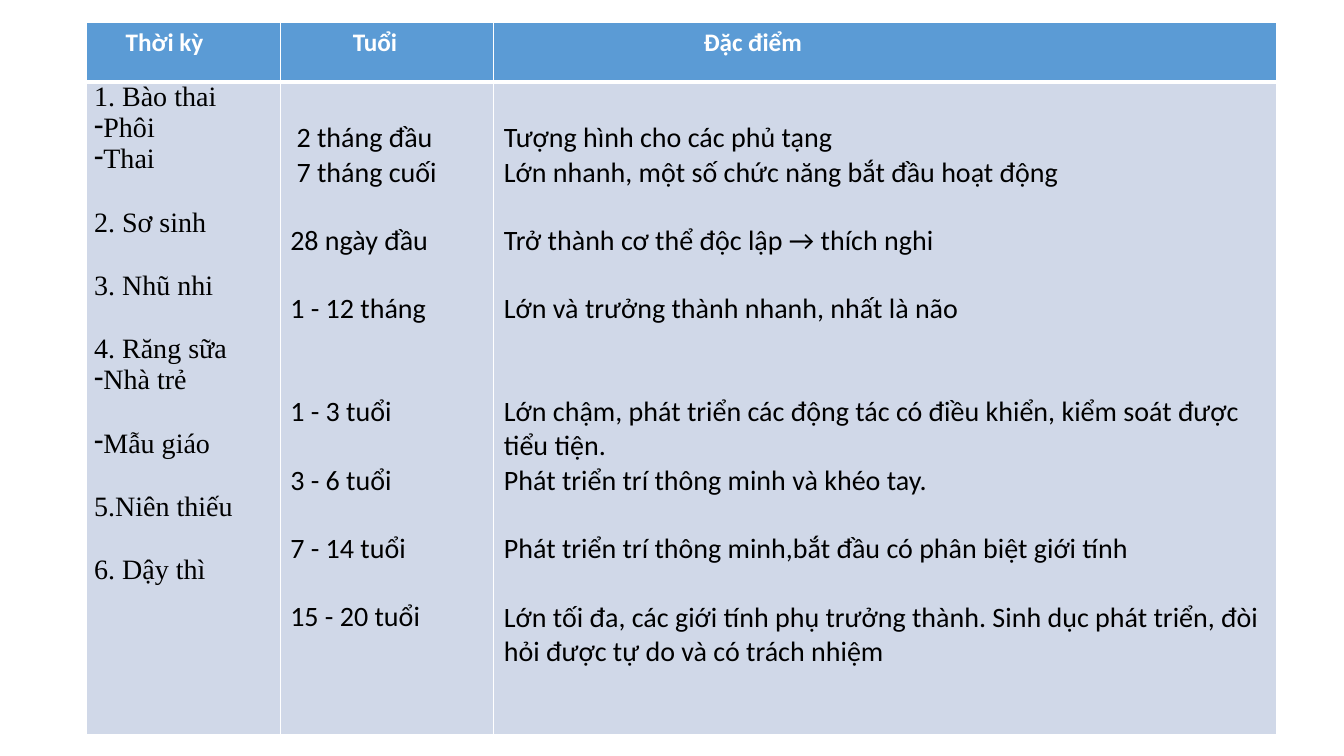
import pptx
import pptx.dml.color
import pptx.enum.text
import pptx.oxml.ns
import pptx.util
from lxml import etree

WIDTH, HEIGHT = 13.33, 7.5
COLUMN_SHARES = (0.144, 0.159, 0.5827)
ROW_SHARES = (0.0787, 0.864)
SERIF_LINE, SANS_LINE = 23, 24.4

HEADINGS = (("Thời kỳ", 0.029), ("Tuổi", 0.054), ("Đặc điểm", 0.156))

PERIODS = (
    ("1. Bào thai", 0), ("-Phôi", 0), ("-Thai", 0), ("2. Sơ sinh", 1),
    ("3. Nhũ nhi", 1), ("4. Răng sữa", 1), ("-Nhà trẻ", 0),
    ("-Mẫu giáo", 1), ("5.Niên thiếu", 1), ("6. Dậy thì", 1),
)
AGES = (
    ("2 tháng đầu", 0), ("7 tháng cuối", 0), ("28 ngày đầu", 1),
    ("1 - 12 tháng", 1), ("1 - 3 tuổi", 2), ("3 - 6 tuổi", 1),
    ("7 - 14 tuổi", 1), ("15 - 20 tuổi", 1),
)
INDENTED_AGES = 2
FEATURES = (
    ("Tượng hình cho các phủ tạng", 0),
    ("Lớn nhanh, một số chức năng bắt đầu hoạt động", 0),
    ("Trở thành cơ thể độc lập → thích nghi", 1),
    ("Lớn và trưởng thành nhanh, nhất là não", 1),
    ("Lớn chậm, phát triển các động tác có điều khiển, kiểm soát được tiểu tiện.", 2),
    ("Phát triển trí thông minh và khéo tay.", 0),
    ("Phát triển trí thông minh,bắt đầu có phân biệt giới tính", 1),
    ("Lớn tối đa, các giới tính phụ trưởng thành. Sinh dục phát triển, "
     "đòi hỏi được tự do và có trách nhiệm", 1),
)


def color(value):
    return pptx.dml.color.RGBColor.from_string(value)


def across(share):
    return pptx.util.Inches(WIDTH * share)


def down(share):
    return pptx.util.Inches(HEIGHT * share)


class SlideBuilder:
    """Holds the style and the current slide, and adds elements to it."""

    sans, serif = "Calibri", "Times New Roman"
    header_fill, body_fill = "5B9BD5", "D0D8E8"
    light, dark = "FFFFFF", "000000"

    def __init__(self, presentation):
        self.slide = presentation.slides.add_slide(presentation.slide_layouts[6])

    def table(self, left, top, columns, rows):
        table = self.slide.shapes.add_table(
            len(rows), len(columns), across(left), down(top),
            across(sum(columns)), down(sum(rows))).table
        table.horz_banding = False
        for column, share in zip(table.columns, columns):
            column.width = across(share)
        for row, share in zip(table.rows, rows):
            row.height = down(share)
        return table

    def cell(self, cell, fill, margins, top_line, bottom_line):
        cell.margin_left, cell.margin_top, cell.margin_right, cell.margin_bottom = margins
        cell.vertical_anchor = pptx.enum.text.MSO_ANCHOR.TOP
        properties = cell._tc.get_or_add_tcPr()
        for side, width in (("L", 1), ("R", 1), ("T", top_line), ("B", bottom_line)):
            border = etree.SubElement(properties, pptx.oxml.ns.qn(f"a:ln{side}"),
                                      w=str(pptx.util.Pt(width)))
            solid = etree.SubElement(border, pptx.oxml.ns.qn("a:solidFill"))
            etree.SubElement(solid, pptx.oxml.ns.qn("a:srgbClr"), val=self.light)
        cell.fill.solid()
        cell.fill.fore_color.rgb = color(fill)

    def header(self, cell, text, left):
        self.cell(cell, self.header_fill,
                  (across(left), down(0.0067), across(0.0075), down(0.0067)), 1, 3)
        self.paragraphs(cell, ((text, 0),), self.sans, 18, self.light, True)

    def body(self, cell, lines, margins, font, line_height, justified=False):
        self.cell(cell, self.body_fill, margins, 3, 1)
        self.paragraphs(cell, lines, font, 20, self.dark, False, line_height, justified)

    def paragraphs(self, cell, lines, font, size, text_color, bold,
                   line_height=0, justified=False):
        frame = cell.text_frame
        for index, (text, gap) in enumerate(lines):
            paragraph = frame.add_paragraph() if index else frame.paragraphs[0]
            paragraph.text = text.removeprefix("-")
            if text.startswith("-"):
                self.dash(paragraph)
            if gap:
                paragraph.space_before = pptx.util.Pt(gap * line_height)
            if justified:
                paragraph.alignment = pptx.enum.text.PP_ALIGN.JUSTIFY
            paragraph.font.name = font
            paragraph.font.size = pptx.util.Pt(size)
            paragraph.font.bold = bold
            paragraph.font.color.rgb = color(text_color)

    def dash(self, paragraph):
        properties = paragraph._p.get_or_add_pPr()
        properties.set("marL", "0")
        properties.set("indent", "0")
        etree.SubElement(properties, pptx.oxml.ns.qn("a:buFontTx"))
        etree.SubElement(properties, pptx.oxml.ns.qn("a:buChar"), char="-")

    def indent(self, paragraph, share):
        paragraph._p.get_or_add_pPr().set("marL", str(across(share)))


def main():
    presentation = pptx.Presentation()
    presentation.slide_width = pptx.util.Inches(WIDTH)
    presentation.slide_height = pptx.util.Inches(HEIGHT)
    builder = SlideBuilder(presentation)

    table = builder.table(0.0645, 0.0295, COLUMN_SHARES, ROW_SHARES)
    for column, (heading, left) in enumerate(HEADINGS):
        builder.header(table.cell(0, column), heading, left)

    period_margins = (across(0.0055), 0, across(0.0055), 0)
    detail_margins = (across(0.0075), down(0.052), across(0.0075), down(0.0067))
    builder.body(table.cell(1, 0), PERIODS, period_margins,
                 builder.serif, SERIF_LINE, justified=True)
    for column, lines in enumerate((AGES, FEATURES), start=1):
        builder.body(table.cell(1, column), lines, detail_margins,
                     builder.sans, SANS_LINE)
    for paragraph in table.cell(1, 1).text_frame.paragraphs[:INDENTED_AGES]:
        builder.indent(paragraph, 0.0047)

    presentation.save("out.pptx")


if __name__ == "__main__":
    main()
